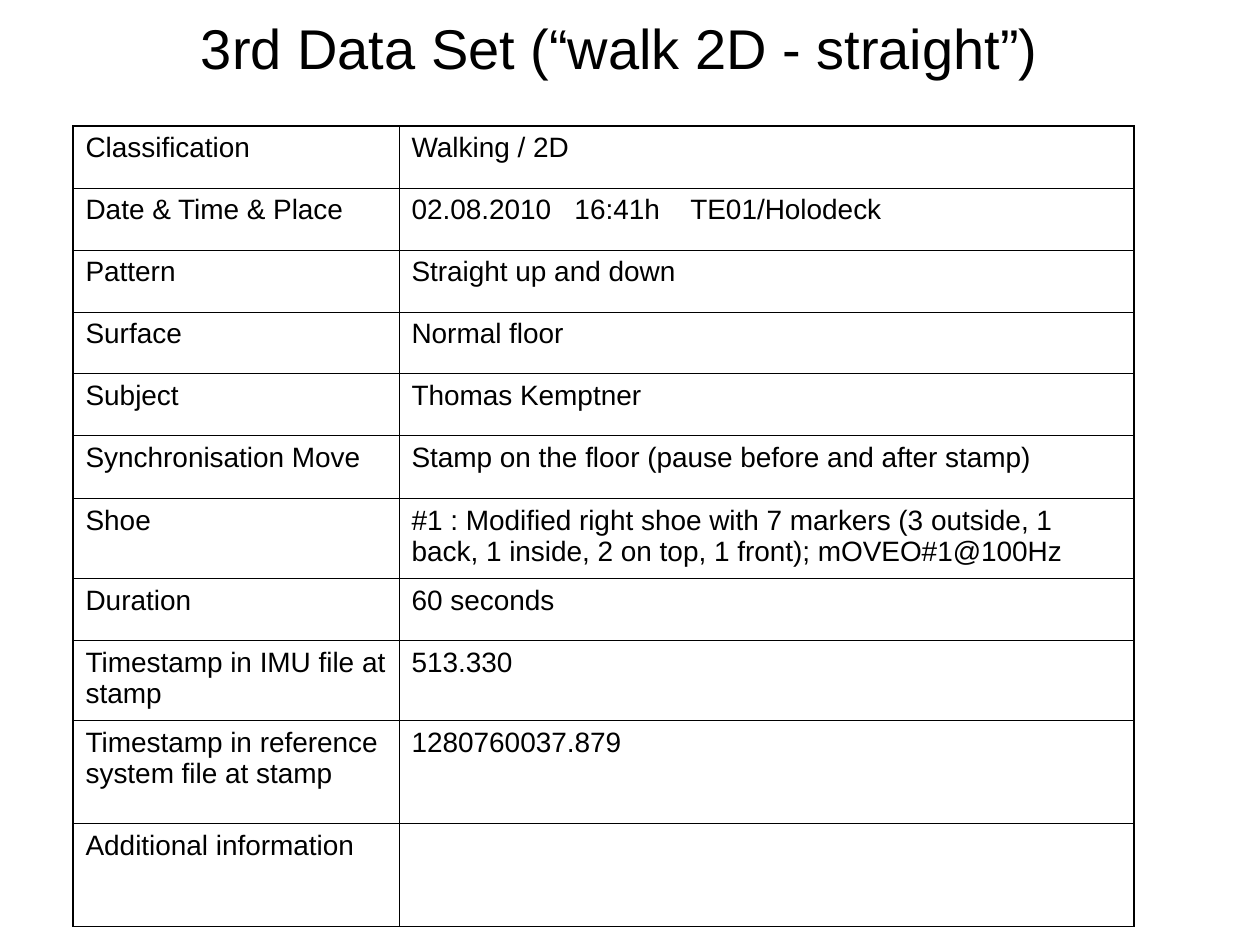
from dataclasses import dataclass

from lxml.etree import SubElement
from pptx import Presentation
from pptx.dml.color import RGBColor
from pptx.enum.text import MSO_ANCHOR, PP_ALIGN
from pptx.oxml.ns import qn
from pptx.util import Emu, Pt

SCALE = 914400 / 126
COLORS = {"text": "000000", "line": "000000"}
THIN, THICK = 0.45, 1.08
LEFT, TOP = 73, 126
COLUMNS = (326, 735)
TITLE_FRAME = {"word_wrap": True, "vertical_anchor": MSO_ANCHOR.MIDDLE}


@dataclass(frozen=True)
class Row:
    label: str
    value: str
    height: int = 62


ROWS = (
    Row("Classification", "Walking / 2D"),
    Row("Date & Time & Place", "02.08.2010   16:41h    TE01/Holodeck"),
    Row("Pattern", "Straight up and down"),
    Row("Surface", "Normal floor"),
    Row("Subject", "Thomas Kemptner"),
    Row("Synchronisation Move", "Stamp on the floor (pause before and after stamp)", 63),
    Row("Shoe", "#1 : Modified right shoe with 7 markers (3 outside, 1 back, "
        "1 inside, 2 on top, 1 front); mOVEO#1@100Hz", 80),
    Row("Duration", "60 seconds"),
    Row("Timestamp in IMU file at stamp", "513.330", 80),
    Row("Timestamp in reference system file at stamp", "1280760037.879", 103),
    Row("Additional information", "", 103),
)


def px(n: int) -> Emu:
    return Emu(round(n * SCALE))


def set_all(target, values: dict) -> None:
    for name, value in values.items():
        setattr(target, name, value)


def style_font(font, size: int) -> None:
    set_all(font, {"name": "Arial", "size": Pt(size), "bold": False})
    font.color.rgb = RGBColor.from_string(COLORS["text"])


def add_borders(cell, widths: dict[str, float]) -> None:
    tc_pr = cell._tc.get_or_add_tcPr()
    for i, (side, width) in enumerate(widths.items()):
        ln = SubElement(tc_pr, qn(f"a:ln{side}"), w=str(Pt(width)))
        fill = SubElement(ln, qn("a:solidFill"))
        SubElement(fill, qn("a:srgbClr"), val=COLORS["line"])
        tc_pr.remove(ln)
        tc_pr.insert(i, ln)


def fill_cell(cell, text: str) -> None:
    cell.fill.background()
    p = cell.text_frame.paragraphs[0]
    p.space_before = Pt(4)
    style_font(p.font, 16)
    if text:
        r = p.add_run()
        r.text = text
        style_font(r.font, 16)


def add_title(s, text: str) -> None:
    sp = s.shapes.title
    set_all(sp, {"left": px(32), "top": px(0), "width": px(1176), "height": px(95)})
    tf = sp.text_frame
    set_all(tf, TITLE_FRAME)
    p = tf.paragraphs[0]
    p.alignment = PP_ALIGN.CENTER
    r = p.add_run()
    r.text = text
    style_font(r.font, 32)


def add_data_table(s, rows: tuple[Row, ...]) -> None:
    frame = s.shapes.add_table(
        len(rows), len(COLUMNS), px(LEFT), px(TOP),
        px(sum(COLUMNS)), px(sum(row.height for row in rows)))
    table = frame.table
    set_all(table, {"first_row": False, "horz_banding": False})
    for column, width in zip(table.columns, COLUMNS):
        column.width = px(width)
    last = len(rows) - 1
    for i, row in enumerate(rows):
        table.rows[i].height = px(row.height)
        for j, text in enumerate((row.label, row.value)):
            cell = table.cell(i, j)
            fill_cell(cell, text)
            add_borders(cell, {
                "L": THICK if j == 0 else THIN,
                "R": THICK if j == 1 else THIN,
                "T": THICK if i in (0, last) else THIN,
                "B": THICK if i >= last - 1 else THIN,
            })


def main() -> None:
    prs = Presentation()
    set_all(prs, {"slide_width": px(1260), "slide_height": px(945)})
    s = prs.slides.add_slide(prs.slide_layouts[5])
    add_title(s, "3rd Data Set (“walk 2D - straight”)")
    add_data_table(s, ROWS)
    prs.save("out.pptx")


if __name__ == "__main__":
    main()
